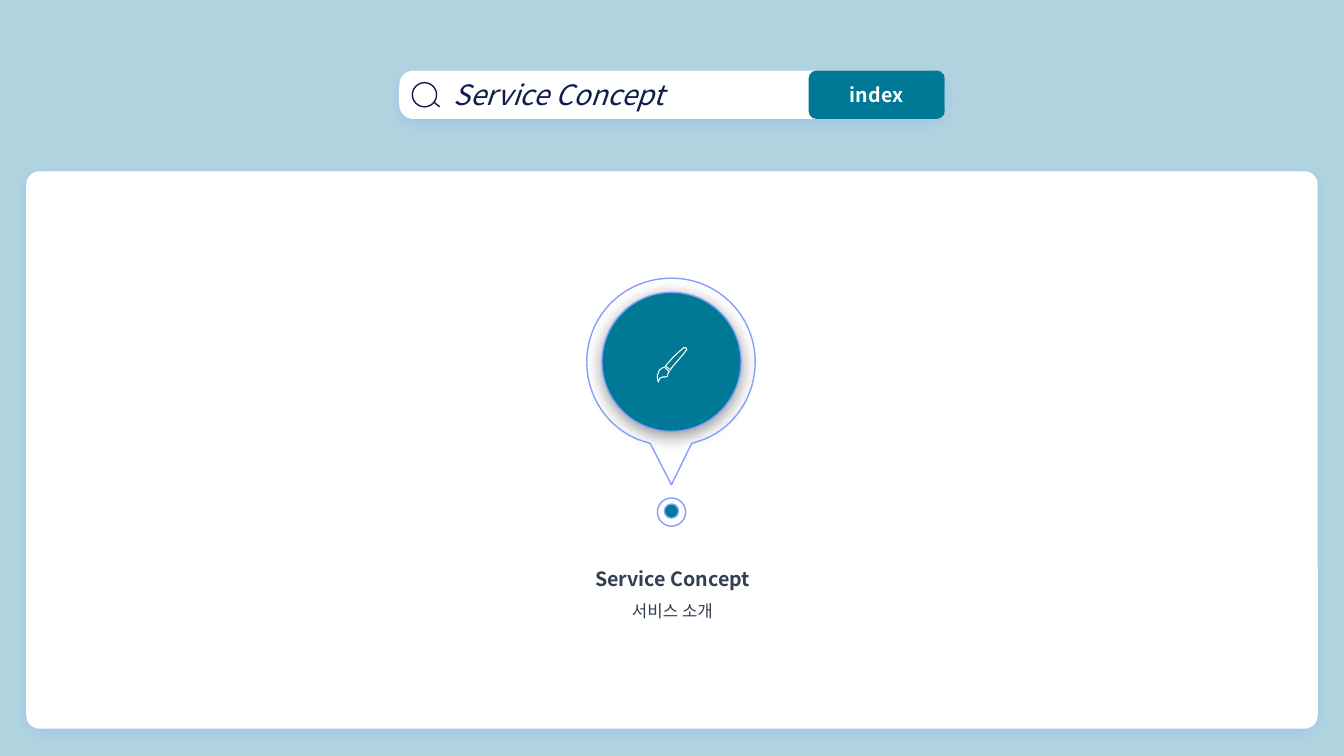
import lxml.etree
import pptx
import pptx.dml.color
import pptx.enum.shapes
import pptx.enum.text
import pptx.oxml.ns
import pptx.util

Inches = pptx.util.Inches
MSO_SHAPE = pptx.enum.shapes.MSO_SHAPE
PP_ALIGN = pptx.enum.text.PP_ALIGN
MIDDLE = pptx.enum.text.MSO_ANCHOR.MIDDLE
qn = pptx.oxml.ns.qn
RGB = pptx.dml.color.RGBColor.from_string

FONT = "Noto Sans CJK KR"
COLORS = {
    "background": "B1D5DF",
    "teal": "007996",
    "white": "FFFFFF",
    "outline": "849FFB",
    "glow": "8FACFC",
    "black": "000000",
    "navy": "0F1D4A",
    "slate": "333F50",
}


def style(shape, fill=None, line=None, width=1, shadow=None, blur=11):
    """Set fill, outline and an optional downward soft shadow."""
    shape.shadow.inherit = False
    if fill:
        shape.fill.solid()
        shape.fill.fore_color.rgb = RGB(COLORS[fill])
    else:
        shape.fill.background()
    if line:
        shape.line.color.rgb = RGB(COLORS[line])
        shape.line.width = pptx.util.Pt(width)
    else:
        shape.line.fill.background()
    if shadow:
        effects = shape._element.spPr.find(qn("a:effectLst"))
        outer = lxml.etree.SubElement(
            effects, qn("a:outerShdw"), blurRad=str(pptx.util.Pt(blur)),
            dist=str(pptx.util.Pt(3)), dir="5400000", algn="t", rotWithShape="0")
        tint = lxml.etree.SubElement(outer, qn("a:srgbClr"), val=COLORS[shadow])
        lxml.etree.SubElement(tint, qn("a:alpha"), val="40000")


def write(paragraph, text, size, color, align=PP_ALIGN.CENTER, bold=False, italic=False):
    paragraph.text = text
    paragraph.alignment = align
    font = paragraph.font
    font.size = pptx.util.Pt(size)
    font.bold = bold
    font.italic = italic
    font.color.rgb = RGB(COLORS[color])
    font.name = FONT
    properties = paragraph._p.pPr.find(qn("a:defRPr"))
    lxml.etree.SubElement(properties, qn("a:ea"), typeface=FONT)


prs = pptx.Presentation()
prs.slide_width = Inches(13.33)
prs.slide_height = Inches(7.5)
slide = prs.slides.add_slide(prs.slide_layouts[6])
slide.background.fill.solid()
slide.background.fill.fore_color.rgb = RGB(COLORS["background"])
shapes = slide.shapes

# Content card
card = shapes.add_shape(MSO_SHAPE.ROUNDED_RECTANGLE,
                        Inches(0.26), Inches(1.7), Inches(12.81), Inches(5.53))
card.adjustments[0] = 0.024
style(card, "white", shadow="glow")

# Search bar
search_bar = shapes.add_shape(MSO_SHAPE.ROUNDED_RECTANGLE,
                              Inches(3.96), Inches(0.7), Inches(5.41), Inches(0.48))
search_bar.adjustments[0] = 0.292
style(search_bar, "white", shadow="glow")
search_bar.text_frame.vertical_anchor = MIDDLE
title = search_bar.text_frame.paragraphs[0]
title._p.get_or_add_pPr().set("marL", str(Inches(0.4)))
write(title, "Service Concept", 20, "navy", PP_ALIGN.LEFT, italic=True)

lens = shapes.add_shape(MSO_SHAPE.OVAL, Inches(4.09), Inches(0.82), Inches(0.24), Inches(0.24))
style(lens, line="navy")
handle = shapes.add_connector(pptx.enum.shapes.MSO_CONNECTOR.STRAIGHT,
                              Inches(4.3), Inches(1.01), Inches(4.36), Inches(1.06))
handle.line.color.rgb = RGB(COLORS["navy"])
handle.line.width = pptx.util.Pt(1)
lxml.etree.SubElement(handle._element.spPr, qn("a:effectLst"))

index_button = shapes.add_shape(MSO_SHAPE.ROUNDED_RECTANGLE,
                                Inches(8.02), Inches(0.7), Inches(1.35), Inches(0.48))
index_button.adjustments[0] = 0.161
style(index_button, "teal")
index_button.text_frame.vertical_anchor = MIDDLE
write(index_button.text_frame.paragraphs[0], "index", 14, "white", bold=True)

# Map marker circles
for left, top, diameter, fill, shadow in (
    (6.52, 4.94, 0.28, None, None),
    (6.59, 5.0, 0.14, "teal", None),
    (5.97, 2.9, 1.38, "teal", "black"),
):
    circle = shapes.add_shape(MSO_SHAPE.OVAL, Inches(left), Inches(top),
                              Inches(diameter), Inches(diameter))
    style(circle, fill, "outline", shadow=shadow, blur=12)

# Pin outline and brush; each curve takes three points, from the given indexes on
pin = [
    (6.66, 2.76),
    (7.12, 2.76), (7.49, 3.13), (7.49, 3.59),
    (7.49, 3.94), (7.28, 4.24), (6.98, 4.36),
    (6.86, 4.4), (6.66, 4.81), (6.45, 4.4), (6.33, 4.36),
    (6.03, 4.24), (5.82, 3.94), (5.82, 3.59),
    (5.82, 3.13), (6.19, 2.76), (6.66, 2.76),
]
brush_handle = [
    (6.65, 3.67), (6.6, 3.63), (6.68, 3.54), (6.78, 3.45), (6.79, 3.45), (6.8, 3.45),
    (6.81, 3.46), (6.81, 3.47), (6.78, 3.51), (6.66, 3.65), (6.65, 3.67),
]
brush_tip = [
    (6.53, 3.79), (6.54, 3.76), (6.55, 3.75), (6.57, 3.74), (6.58, 3.74), (6.59, 3.74),
    (6.6, 3.74), (6.62, 3.73), (6.63, 3.69), (6.64, 3.69), (6.59, 3.64), (6.57, 3.65),
    (6.54, 3.67), (6.53, 3.7), (6.52, 3.72), (6.52, 3.76), (6.53, 3.79),
]
for points, curve_starts, fill, line, width in (
    (pin, (1, 4, 11, 14), None, "outline", 1),
    (brush_handle, (), "teal", "white", 0.75),
    (brush_tip, (), "teal", "white", 0.75),
):
    corners = [(Inches(x), Inches(y)) for x, y in points]
    builder = shapes.build_freeform(*corners[0])
    builder.add_line_segments(corners[1:], close=True)
    outline = builder.convert_to_shape()
    style(outline, fill, line, width)
    segments = list(outline._element.iter(qn("a:lnTo")))
    for start in curve_starts:
        first, *others = segments[start - 1:start + 2]
        curve = lxml.etree.Element(qn("a:cubicBezTo"))
        first.addprevious(curve)
        for segment in (first, *others):
            curve.append(segment[0])
            segment.getparent().remove(segment)

# Caption
caption = shapes.add_textbox(Inches(5.41), Inches(5.46), Inches(2.52), Inches(0.72)).text_frame
caption.word_wrap = True
caption.auto_size = pptx.enum.text.MSO_AUTO_SIZE.SHAPE_TO_FIT_TEXT
write(caption.paragraphs[0], "Service Concept", 14, "slate", bold=True)
write(caption.add_paragraph(), "서비스 소개", 12, "slate")
for paragraph in caption.paragraphs:
    paragraph.line_spacing = 1.5

prs.save("out.pptx")
